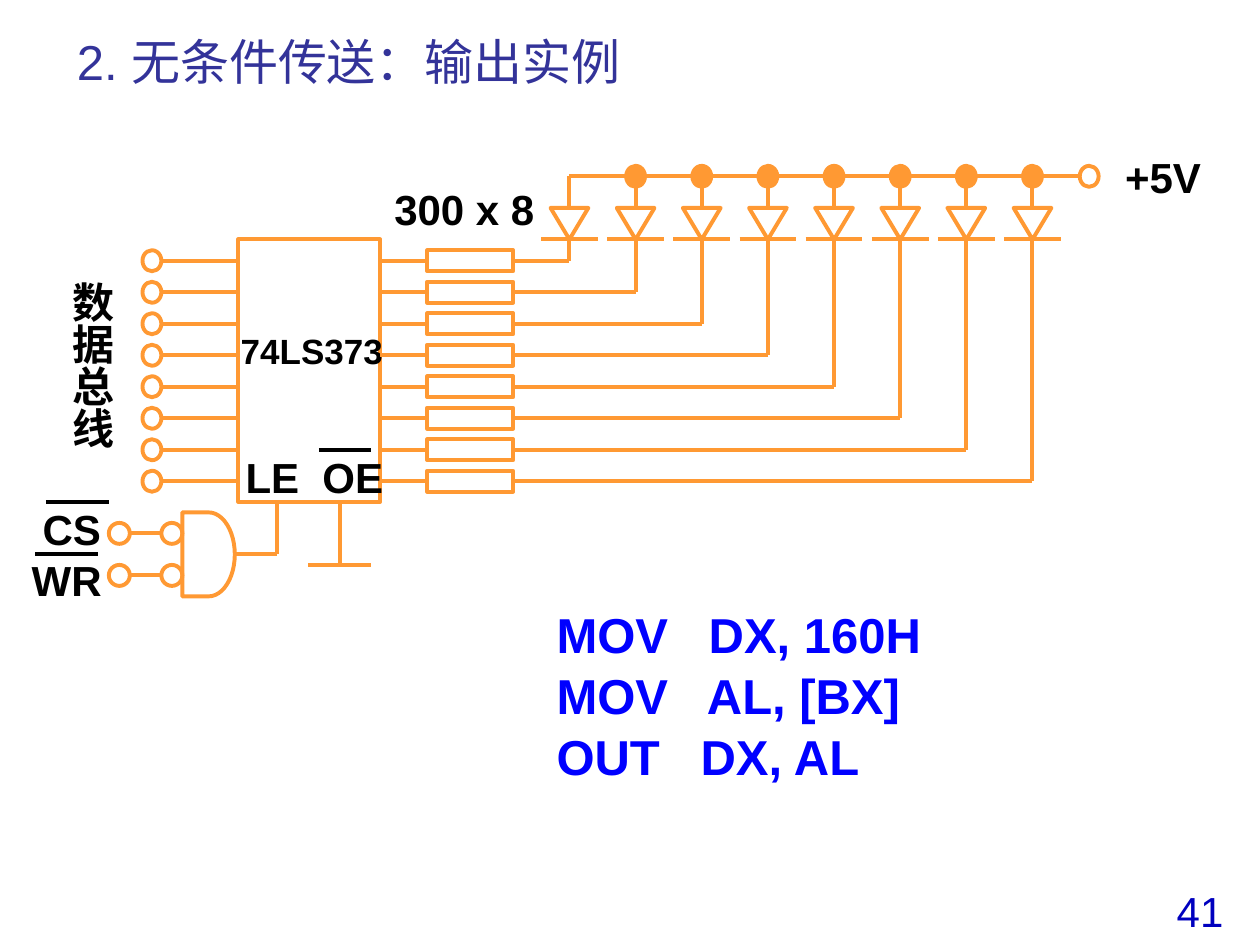
from lxml import etree
from pptx import Presentation
from pptx.dml.color import RGBColor
from pptx.enum import shapes, text
from pptx.oxml import ns
from pptx.util import Pt

ORANGE = RGBColor(0xFF, 0x99, 0x33)
BLACK = RGBColor(0, 0, 0)
INDIGO = RGBColor(0x33, 0x33, 0x99)
BLUE = RGBColor(0, 0, 0xFF)
NUMBER_BLUE = RGBColor(0, 0, 0xBF)
SHAPE = shapes.MSO_SHAPE

BITS = 8
ROW_TOP, ROW_GAP = 149, 18
LED_LEFT, LED_GAP = 325.4, 37.8
BUS_Y, LED_TOP, LED_BOTTOM = 100.8, 118.8, 136.8
CHIP_LEFT, CHIP_RIGHT, CHIP_BOTTOM = 136.2, 217.2, 286.8
RESISTOR_LEFT, RESISTOR_RIGHT = 244.2, 293.2
PIN_W, PIN_H = 10.8, 12


def draw_line(s, x1, y1, x2, y2, color=ORANGE):
    ln = s.shapes.add_connector(shapes.MSO_CONNECTOR.STRAIGHT,
                                Pt(x1), Pt(y1), Pt(x2), Pt(y2))
    ln.line.color.rgb = color
    ln.line.width = Pt(2.25)
    etree.SubElement(ln._element.spPr, ns.qn("a:effectLst"))


def draw_shape(s, kind, x, y, w, h, filled=False):
    sp = s.shapes.add_shape(kind, Pt(x), Pt(y), Pt(w), Pt(h))
    sp.shadow.inherit = False
    if filled:
        sp.fill.solid()
        sp.fill.fore_color.rgb = ORANGE
    else:
        sp.fill.background()
    sp.line.color.rgb = ORANGE
    sp.line.width = Pt(2.25)
    return sp


def format_text(tf, size, color, bold, align):
    for p in tf.paragraphs:
        p.alignment = align
        for r in p.runs:
            r.font.name = "Arial"
            r.font.size = Pt(size)
            r.font.bold = bold
            r.font.color.rgb = color


def add_text(s, words, x, y, w, h, size=24, color=BLACK, bold=True,
             align=text.PP_ALIGN.CENTER, anchor=text.MSO_ANCHOR.MIDDLE, wrap=False):
    tf = s.shapes.add_textbox(Pt(x), Pt(y), Pt(w), Pt(h)).text_frame
    tf.text = words
    tf.word_wrap = wrap
    tf.vertical_anchor = anchor
    format_text(tf, size, color, bold, align)
    return tf


def add_title(s):
    title = s.shapes.title
    title.left, title.top, title.width, title.height = Pt(36.7), Pt(15), Pt(607), Pt(39.6)
    tf = title.text_frame
    tf.text = "2. 无条件传送：输出实例"
    tf.vertical_anchor = text.MSO_ANCHOR.MIDDLE
    format_text(tf, 28, INDIGO, False, text.PP_ALIGN.LEFT)


def add_code(s):
    tf = add_text(s, "MOV   DX, 160H\nMOV   AL, [BX]\nOUT   DX, AL", 311, 340.6, 269.3, 114.5,
                  28, BLUE, align=text.PP_ALIGN.JUSTIFY,
                  anchor=text.MSO_ANCHOR.TOP, wrap=True)
    for p in tf.paragraphs:
        p.line_spacing = 1.04


def draw_bit(s, i):
    """Input pin, resistor and LED of one data bit, with their wires."""
    y = ROW_TOP + i * ROW_GAP
    x = LED_LEFT + i * LED_GAP
    draw_shape(s, SHAPE.OVAL, 81.4, y - PIN_H / 2, PIN_W, PIN_H)
    draw_line(s, 92.2, y, CHIP_LEFT, y)
    draw_line(s, CHIP_RIGHT, y, RESISTOR_LEFT, y)
    draw_shape(s, SHAPE.RECTANGLE, RESISTOR_LEFT, y - 6, RESISTOR_RIGHT - RESISTOR_LEFT, 12)
    draw_line(s, RESISTOR_RIGHT, y, x, y)
    draw_line(s, x, LED_BOTTOM, x, y)

    led = draw_shape(s, SHAPE.ISOSCELES_TRIANGLE, x - 10.8, LED_TOP, 21.6, LED_BOTTOM - LED_TOP)
    led.rotation = 180
    draw_line(s, x - 16.2, LED_BOTTOM, x + 16.2, LED_BOTTOM)
    draw_line(s, x, LED_TOP, x, BUS_Y)
    if i > 0:
        draw_shape(s, SHAPE.OVAL, x - PIN_W / 2, BUS_Y - PIN_H / 2, PIN_W, PIN_H, filled=True)


def draw_supply(s):
    draw_line(s, LED_LEFT, BUS_Y, 617, BUS_Y)
    draw_shape(s, SHAPE.OVAL, 617, BUS_Y - PIN_H / 2, PIN_W, PIN_H)
    add_text(s, "+5V", 635.8, 83, 57.6, 36)


def draw_chip(s):
    draw_shape(s, SHAPE.RECTANGLE, CHIP_LEFT, LED_BOTTOM,
               CHIP_RIGHT - CHIP_LEFT, CHIP_BOTTOM - LED_BOTTOM)
    add_text(s, "74LS373", 130.3, 185, 95.8, 31, 20)
    add_text(s, "LE  OE", 133.2, 254.2, 92.9, 36)
    draw_line(s, 182.2, 257, 212.2, 257, BLACK)
    # Ground on OE
    draw_line(s, 194.2, CHIP_BOTTOM, 194.2, 322.8)
    draw_line(s, 176.2, 322.8, 212.2, 322.8)


def draw_write_gate(s):
    draw_shape(s, SHAPE.FLOWCHART_DELAY, 104.2, 292.8, 30, 48)
    draw_line(s, 134.2, 316.8, 158.2, 316.8)
    draw_line(s, 158.2, CHIP_BOTTOM, 158.2, 316.8)
    signals = [("CS", 17.3, 284.4, 47.5, 304.8, 26.2, 286.8),
               ("WR", 10.8, 313.2, 54.7, 328.8, 20.2, 316.8)]
    for name, x, y, w, pin_y, bar_x, bar_y in signals:
        for pin_x in (62.2, 92.2):
            draw_shape(s, SHAPE.FLOWCHART_CONNECTOR, pin_x, pin_y - 6, 12, 12)
        draw_line(s, 74.2, pin_y, 92.2, pin_y)
        add_text(s, name, x, y, w, 36)
        draw_line(s, bar_x, bar_y, bar_x + 36, bar_y, BLACK)


def main():
    prs = Presentation()
    prs.slide_width, prs.slide_height = Pt(720), Pt(540)
    s = prs.slides.add_slide(prs.slide_layouts[5])
    add_title(s)
    draw_supply(s)
    draw_chip(s)
    for i in range(BITS):
        draw_bit(s, i)
    draw_write_gate(s)
    add_text(s, "300 x 8", 218.2, 101, 94.3, 36)
    bus = add_text(s, "数据总线", 31, 154, 43.2, 102.2)
    bus._txBody.bodyPr.set("vert", "eaVert")
    add_code(s)
    add_text(s, "41", 660.2, 502.6, 51.1, 36, color=NUMBER_BLUE, bold=False,
             anchor=text.MSO_ANCHOR.TOP, wrap=True)
    prs.save("out.pptx")


if __name__ == "__main__":
    main()
